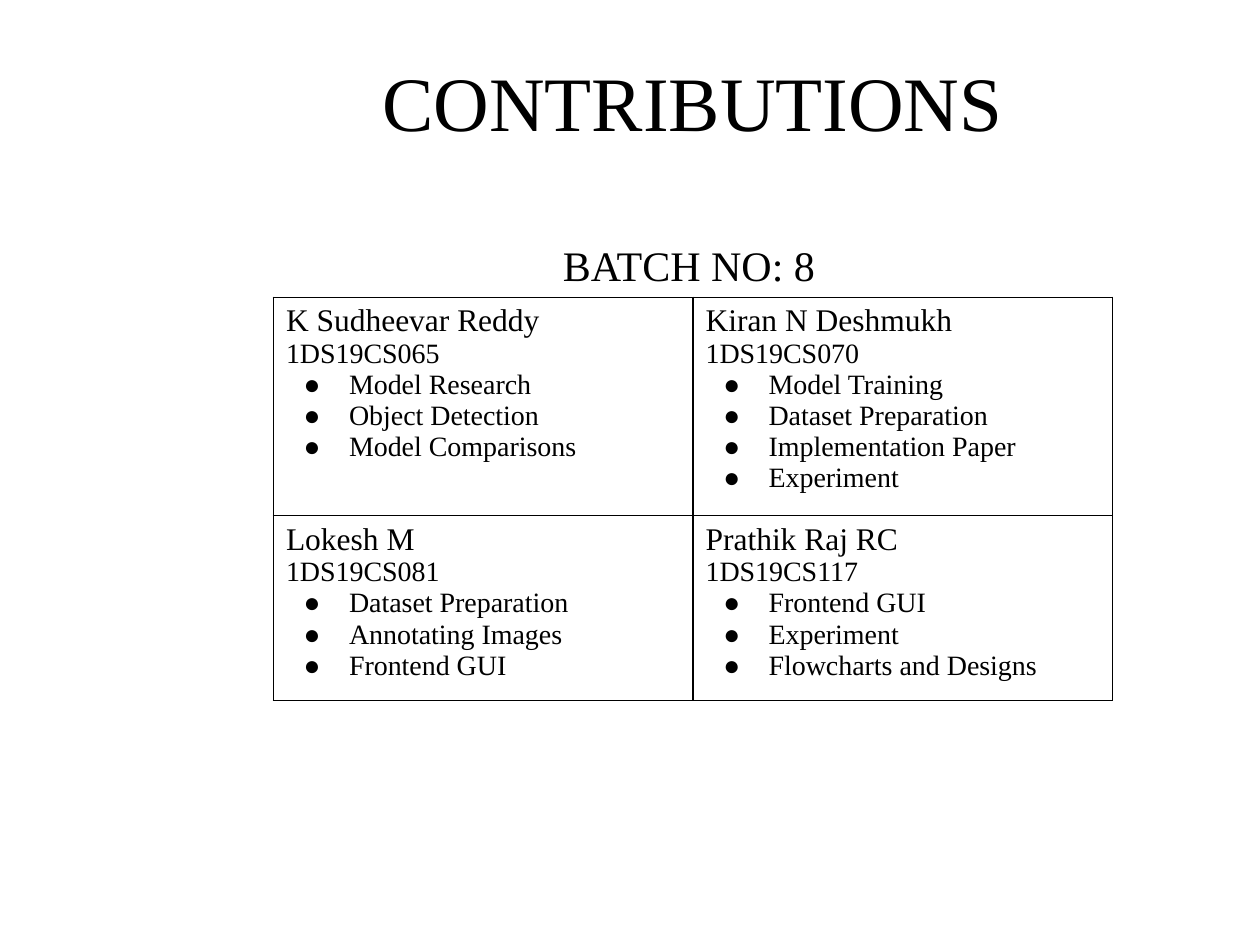
from dataclasses import dataclass

from lxml.etree import SubElement
from pptx import Presentation
from pptx.dml.color import RGBColor
from pptx.enum.text import MSO_ANCHOR, PP_ALIGN
from pptx.oxml.ns import qn
from pptx.util import Inches, Pt


@dataclass(frozen=True)
class Theme:
    font: str = "Times New Roman"
    ink: str = "000000"
    title: int = 44
    batch: int = 24
    name: int = 18
    body: int = 16
    border: int = 1


@dataclass(frozen=True)
class Member:
    name: str
    number: str
    tasks: tuple[str, ...]


THEME = Theme()
TEAM = (
    (
        Member("K Sudheevar Reddy", "1DS19CS065",
               ("Model Research", "Object Detection", "Model Comparisons")),
        Member("Kiran N Deshmukh", "1DS19CS070",
               ("Model Training", "Dataset Preparation",
                "Implementation Paper", "Experiment")),
    ),
    (
        Member("Lokesh M", "1DS19CS081",
               ("Dataset Preparation", "Annotating Images", "Frontend GUI")),
        Member("Prathik Raj RC", "1DS19CS117",
               ("Frontend GUI", "Experiment", "Flowcharts and Designs")),
    ),
)
COLUMN_WIDTH = 3.33
ROW_HEIGHTS = (1.61, 1.37)


def add_run(paragraph, text: str, size: int) -> None:
    run = paragraph.add_run()
    run.text = text
    run.font.name = THEME.font
    run.font.size = Pt(size)
    run.font.color.rgb = RGBColor.from_string(THEME.ink)


def add_heading(slide, text: str, size: int, left: float, top: float,
                width: float, height: float, align: PP_ALIGN) -> None:
    heading = slide.shapes.add_textbox(
        Inches(left), Inches(top), Inches(width), Inches(height))
    frame = heading.text_frame
    frame.word_wrap = True
    frame.vertical_anchor = MSO_ANCHOR.MIDDLE
    frame.paragraphs[0].alignment = align
    add_run(frame.paragraphs[0], text, size)


def add_bullet(paragraph) -> None:
    props = paragraph._p.get_or_add_pPr()
    props.set("marL", str(Inches(0.5)))
    props.set("indent", str(Inches(-0.36)))
    color = SubElement(props, qn("a:buClr"))
    SubElement(color, qn("a:srgbClr"), val=THEME.ink)
    SubElement(props, qn("a:buFont"), typeface=THEME.font)
    SubElement(props, qn("a:buChar"), char="●")


def style_cell(cell) -> None:
    props = cell._tc.get_or_add_tcPr()
    for side in ("a:lnL", "a:lnR", "a:lnT", "a:lnB"):
        line = SubElement(props, qn(side), w=str(Pt(THEME.border)))
        fill = SubElement(line, qn("a:solidFill"))
        SubElement(fill, qn("a:srgbClr"), val=THEME.ink)
    cell.fill.background()


def fill_cell(cell, member: Member) -> None:
    style_cell(cell)
    frame = cell.text_frame
    add_run(frame.paragraphs[0], member.name, THEME.name)
    add_run(frame.add_paragraph(), member.number, THEME.body)
    for task in member.tasks:
        paragraph = frame.add_paragraph()
        add_bullet(paragraph)
        add_run(paragraph, task, THEME.body)


def add_team_table(slide, left: float, top: float) -> None:
    columns = len(TEAM[0])
    table = slide.shapes.add_table(
        len(TEAM), columns, Inches(left), Inches(top),
        Inches(COLUMN_WIDTH * columns), Inches(sum(ROW_HEIGHTS))).table
    table.first_row = False
    table.horz_banding = False
    for row, (members, height) in enumerate(zip(TEAM, ROW_HEIGHTS)):
        table.rows[row].height = Inches(height)
        for column, member in enumerate(members):
            fill_cell(table.cell(row, column), member)


def main() -> None:
    deck = Presentation()
    deck.slide_width, deck.slide_height = Inches(10), Inches(7.5)
    slide = deck.slides.add_slide(deck.slide_layouts[6])

    # Title
    add_heading(slide, "CONTRIBUTIONS", THEME.title,
                1, 0.17, 9, 1.25, PP_ALIGN.CENTER)
    # Who did what
    add_team_table(slide, 2.17, 2.36)
    # Batch label above the table
    add_heading(slide, "BATCH NO: 8", THEME.batch,
                4.37, 1.85, 2.26, 0.5, PP_ALIGN.LEFT)

    deck.save("out.pptx")


if __name__ == "__main__":
    main()
